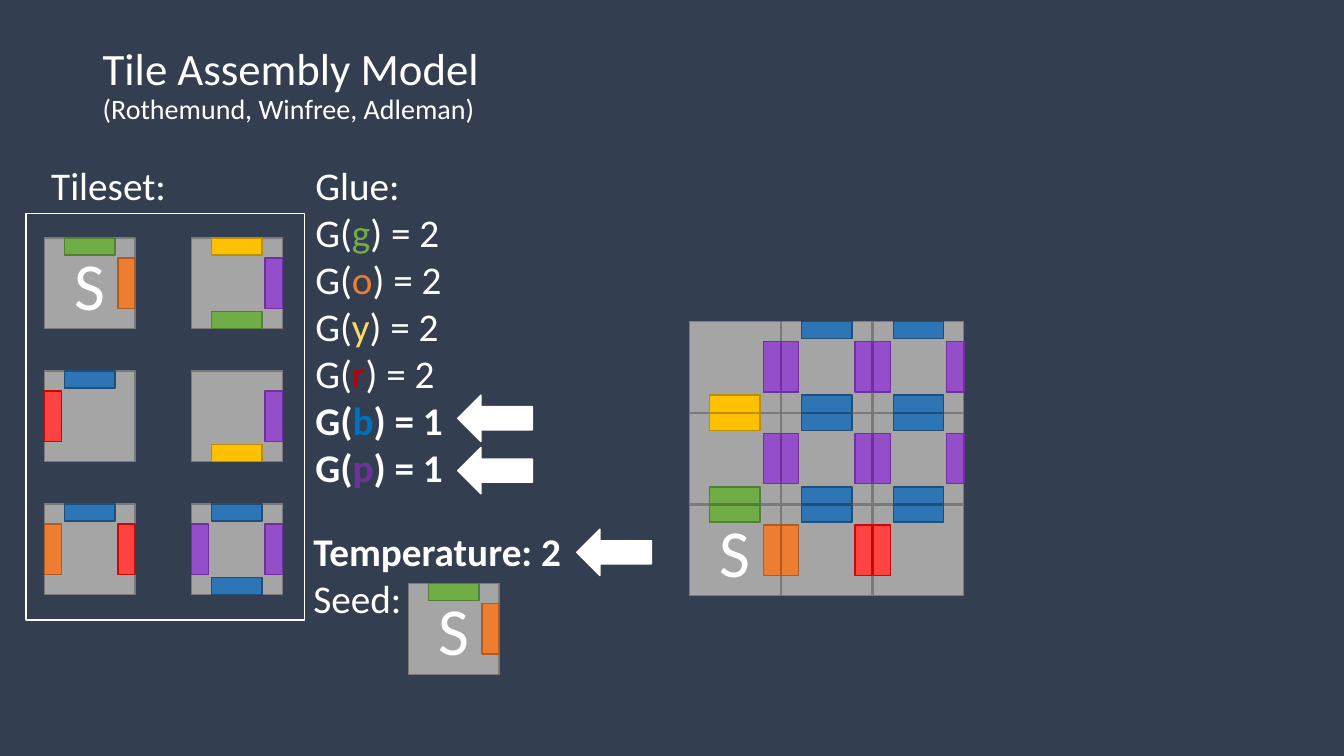
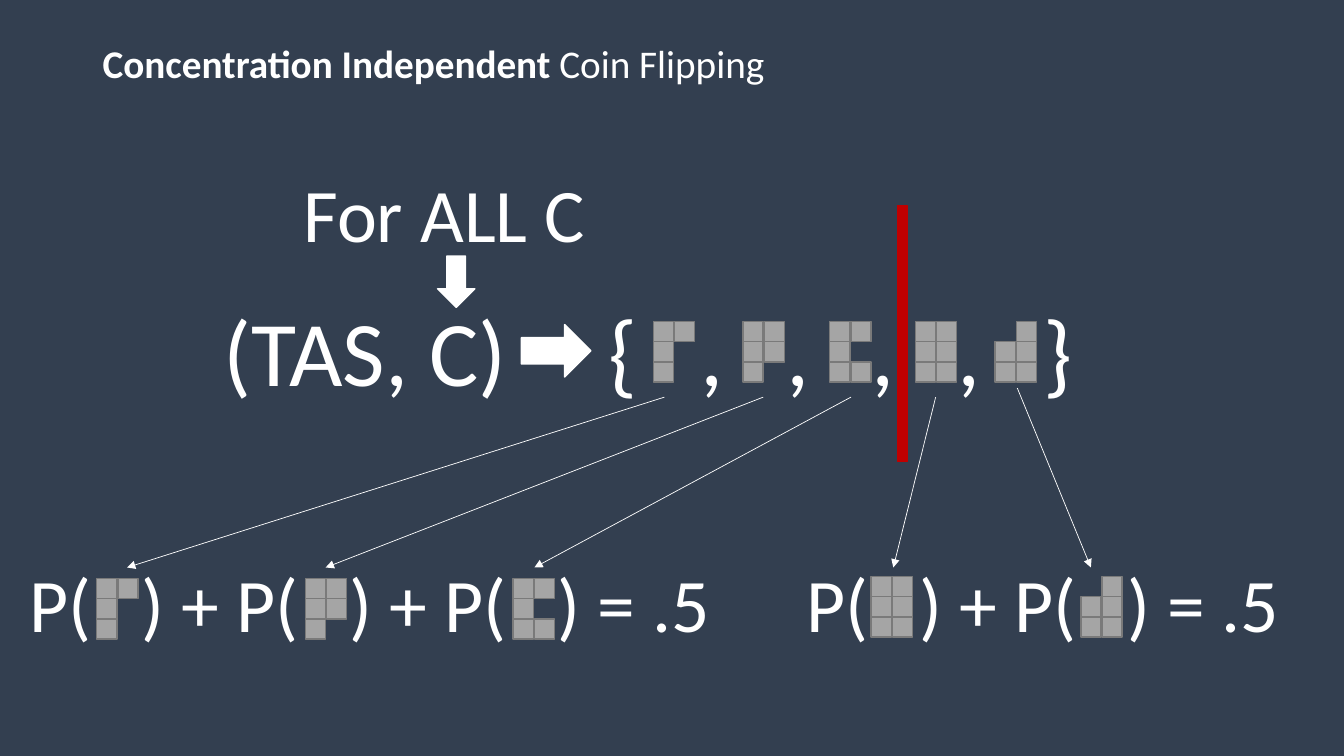
from lxml import etree
from pptx import Presentation
from pptx.dml.color import RGBColor
from pptx.enum import shapes, text
from pptx.oxml import ns
from pptx.util import Inches, Pt

FONT = "Calibri"
HUES = {
    "back": "333F50", "white": "FFFFFF", "bar": "C00000",
    "tile": "A5A5A5", "edge": "7A7A7A",
    "g": "70AD47", "o": "ED7D31", "y": "FFD966",
    "r": "C00000", "b": "0070C0", "p": "7030A0",
}
# Fill and outline of the glue strip for each glue letter
GLUES = {
    "g": ("70AD47", "538035"), "o": ("ED7D31", "AF5C24"),
    "y": ("FFC000", "BD8E00"), "r": ("FF4343", "CA0606"),
    "b": ("2E75B6", "1F4E79"), "p": ("954ECA", "7030A0"),
}
KIND = shapes.MSO_SHAPE
TILE, LONG, THIN = 0.9, 0.5, 0.17
CELL = 0.2

# Glues of a tile on its top, right, bottom and left sides
SEED = "go--"
TILES = [[SEED, "ypg-"], ["b--r", "-py-"], ["br-o", "bpbp"]]
BUILT = [["-py-", "bpbp", "bpbp"], ["ypg-", "bpbp", "bpbp"], [SEED, "br-o", "b--r"]]

# Shapes that the assemblies can take, row by row
FORMS = [
    ("##", "#.", "#."),
    ("##", "##", "#."),
    ("##", "#.", "##"),
    ("##", "##", "##"),
    (".#", "##", "##"),
]


def rgb(code):
    return RGBColor.from_string(code)


def box(slide, kind, at, fill, line):
    shape = slide.shapes.add_shape(kind, *map(Inches, at))
    shape.shadow.inherit = False
    if fill:
        shape.fill.solid()
        shape.fill.fore_color.rgb = rgb(fill)
    else:
        shape.fill.background()
    shape.line.color.rgb = rgb(line)
    shape.line.width = Pt(1)
    return shape


def arrow(slide, kind, at):
    box(slide, kind, at, HUES["white"], HUES["white"])


def add_run(para, words, size, hue="white", bold=False):
    run = para.add_run()
    run.text = words
    font = run.font
    font.name, font.size, font.bold = FONT, Pt(size), bold
    font.color.rgb = rgb(HUES[hue])


def add_stops(para, stops):
    tabs = etree.SubElement(para._p.get_or_add_pPr(), ns.qn("a:tabLst"))
    for stop in stops:
        etree.SubElement(tabs, ns.qn("a:tab"), pos=str(Inches(stop)), algn="l")


def label(slide, at, lines, space=None, stops=()):
    """Each line is a list of runs: (words, size[, hue[, bold]])."""
    frame = slide.shapes.add_textbox(*map(Inches, at)).text_frame
    frame.word_wrap = True
    for i, runs in enumerate(lines):
        para = frame.add_paragraph() if i else frame.paragraphs[0]
        if stops:
            add_stops(para, stops)
        if space:
            para.line_spacing = space
        for run in runs:
            add_run(para, *run)


def title(slide, top, lines):
    label(slide, (0.92, top, 11.5, 1), lines, space=0.9)


def tile(slide, x, y, glues):
    base = box(slide, KIND.RECTANGLE, (x, y, TILE, TILE), HUES["tile"], HUES["edge"])
    if glues == SEED:
        frame = base.text_frame
        frame.margin_left = frame.margin_right = 0
        frame.margin_top = frame.margin_bottom = 0
        frame.vertical_anchor = text.MSO_ANCHOR.MIDDLE
        para = frame.paragraphs[0]
        para.alignment = text.PP_ALIGN.CENTER
        add_run(para, "S", 48)
    mid, far = (TILE - LONG) / 2, TILE - THIN
    sides = [
        (x + mid, y, LONG, THIN),
        (x + far, y + mid, THIN, LONG),
        (x + mid, y + far, LONG, THIN),
        (x, y + mid, THIN, LONG),
    ]
    for glue, side in zip(glues, sides):
        if glue in GLUES:
            box(slide, KIND.RECTANGLE, side, *GLUES[glue])


def grid(slide, x, y, dx, dy, rows):
    for r, row in enumerate(rows):
        for c, glues in enumerate(row):
            tile(slide, x + c * dx, y + r * dy, glues)


def form(slide, x, y, rows):
    for r, row in enumerate(rows):
        for c, mark in enumerate(row):
            if mark == "#":
                at = (x + c * 0.21, y + r * CELL, CELL, CELL)
                box(slide, KIND.RECTANGLE, at, HUES["tile"], HUES["edge"])


def link(slide, start, end):
    line = slide.shapes.add_connector(
        shapes.MSO_CONNECTOR.STRAIGHT, *map(Inches, start + end))
    line.line.color.rgb = rgb(HUES["white"])
    line.line.width = Pt(0.5)
    props = line._element.spPr
    etree.SubElement(props.find(ns.qn("a:ln")), ns.qn("a:tailEnd"), type="triangle")
    etree.SubElement(props, ns.qn("a:effectLst"))


def new_slide(deck):
    slide = deck.slides.add_slide(deck.slide_layouts[6])
    slide.background.fill.solid()
    slide.background.fill.fore_color.rgb = rgb(HUES["back"])
    return slide


def model(deck):
    slide = new_slide(deck)
    title(slide, 0.42, [[("Tile Assembly Model", 32)],
                        [("(Rothemund, Winfree, Adleman)", 20)]])

    label(slide, (0.41, 1.55, 1.6, 0.57), [[("Tileset:", 28)]])
    box(slide, KIND.RECTANGLE, (0.26, 2.12, 2.76, 4.03), None, HUES["white"])
    grid(slide, 0.44, 2.36, 1.46, 1.32, TILES)

    lines = [[("Glue:", 28)]]
    for glue, force in zip("goyrbp", (2, 2, 2, 2, 1, 1)):
        bold = force == 1
        lines.append([("G(", 28, "white", bold), (glue, 28, glue, bold),
                      (f") = {force}", 28, "white", bold)])
    label(slide, (3.03, 1.55, 1.7, 3.4), lines)
    label(slide, (3.01, 5.18, 2.9, 1.04),
          [[("Temperature: 2", 28, "white", True)], [("Seed:", 28)]])
    tile(slide, 4.05, 5.79, SEED)
    for x, y in ((4.54, 3.92), (4.54, 4.44), (5.72, 5.25)):
        arrow(slide, KIND.LEFT_ARROW, (x, y, 0.74, 0.46))

    grid(slide, 6.84, 3.19, 0.91, 0.91, BUILT)


def coin(deck):
    slide = new_slide(deck)
    title(slide, 0.39, [[("Concentration Independent ", 28, "white", True),
                         ("Coin Flipping", 28)]])

    label(slide, (2.91, 1.61, 4.11, 1.01), [[("For ALL C", 54)]])
    arrow(slide, KIND.DOWN_ARROW, (4.34, 2.54, 0.37, 0.51))
    label(slide, (2.12, 2.87, 8.86, 1.21), [[("(TAS, C)\t{\t,\t,\t,\t,\t}", 66)]],
          stops=[3.82] + [4.73 + 0.85 * i for i in range(5)])
    arrow(slide, KIND.RIGHT_ARROW, (5.17, 3.22, 0.69, 0.52))

    sums = [(0.19, 7.4, "P(\t) + P(\t) + P(\t) = .5", 3),
            (7.9, 5.2, "P(\t) + P(\t) = .5", 2)]
    for x, wide, words, count in sums:
        label(slide, (x, 5.48, wide, 1.01), [[(words, 54)]],
              stops=[1.12 + 2.06 * i for i in range(count)])

    for x, rows in zip((6.48, 7.37, 8.23, 9.08, 9.87), FORMS):
        form(slide, x, 3.19, rows)
    lows = [(0.96, 5.74), (3.03, 5.74), (5.09, 5.74), (8.64, 5.72), (10.72, 5.72)]
    for (x, y), rows in zip(lows, FORMS):
        form(slide, x, y, rows)

    box(slide, KIND.RECTANGLE, (8.9, 2.04, 0.1, 2.54), HUES["bar"], HUES["bar"])
    starts = [(6.59, 3.94), (7.57, 3.94), (8.44, 3.94), (9.28, 3.94), (10.09, 3.85)]
    for start, x in zip(starts, (1.26, 3.23, 5.3, 8.86, 10.82)):
        link(slide, start, (x, 5.63))


def main():
    deck = Presentation()
    deck.slide_width, deck.slide_height = Inches(13.33), Inches(7.5)
    model(deck)
    coin(deck)
    deck.save("out.pptx")


if __name__ == "__main__":
    main()
